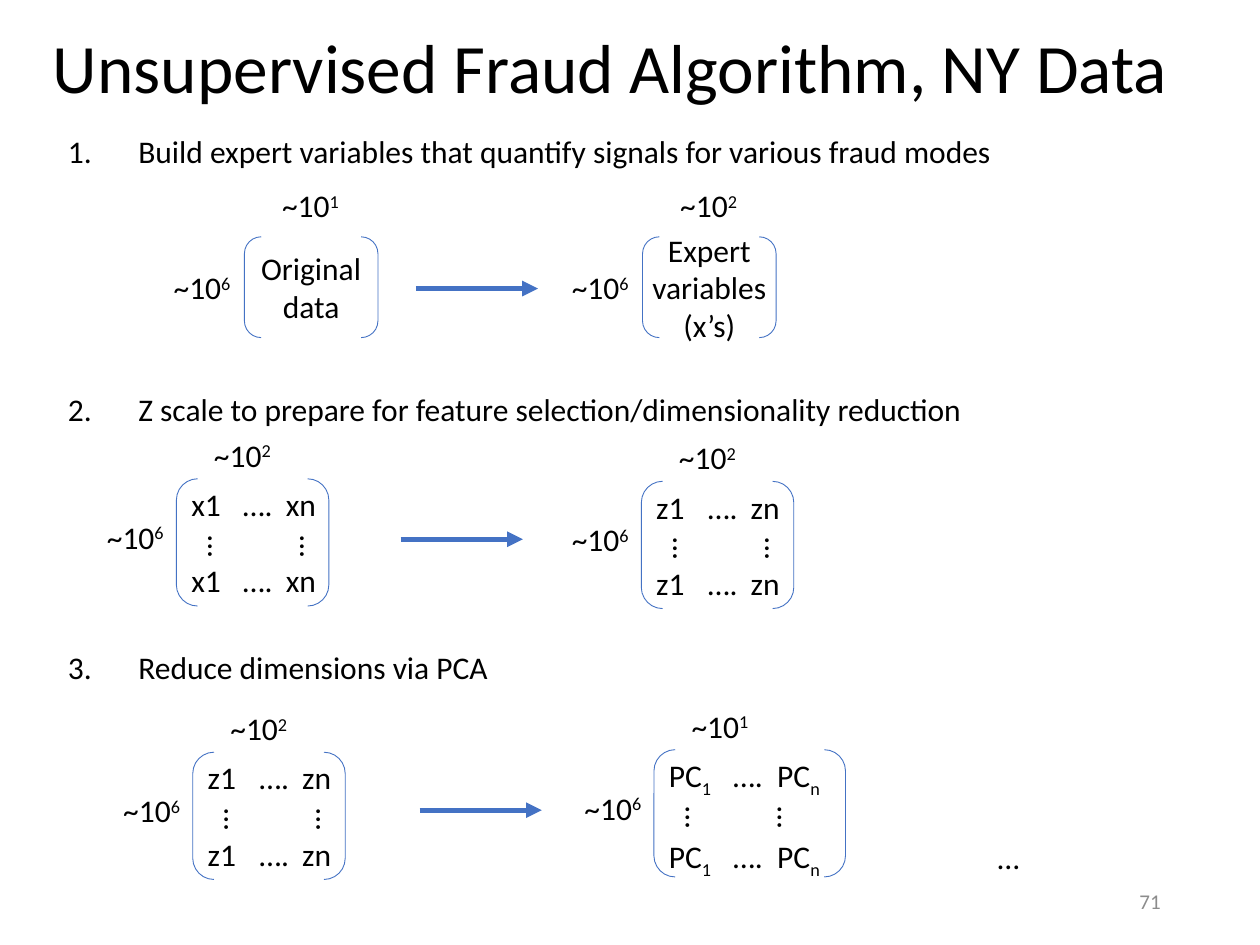
from lxml import etree
from pptx import Presentation
from pptx.dml.color import RGBColor
from pptx.enum.shapes import MSO_CONNECTOR as Connector, MSO_SHAPE as Shape
from pptx.enum.text import MSO_ANCHOR as Anchor, MSO_AUTO_SIZE as AutoSize, PP_ALIGN as Align
from pptx.oxml.ns import qn
from pptx.util import Inches, Pt

BLACK, BLUE, GRAY = "000000", "4472C4", "8C8C8C"
SUPER, SUB = 30000, -25000


def color(value):
    return RGBColor.from_string(value)


def style(paragraph, size=18, ink=BLACK):
    for run in paragraph.runs:
        run.font.name = "Calibri"
        run.font.size = Pt(size)
        run.font.color.rgb = color(ink)


def add_pieces(paragraph, pieces):
    for text, baseline in pieces:
        run = paragraph.add_run()
        run.text = text
        if baseline:
            run._r.get_or_add_rPr().set("baseline", str(baseline))
    style(paragraph)


def add_box(shapes, x, y, width, height, wrap=False):
    box = shapes.add_textbox(Inches(x), Inches(y), Inches(width), Inches(height))
    box.text_frame.word_wrap = wrap
    return box


def add_title(slide, text):
    title = slide.shapes.title
    title.left, title.top = Inches(0.32), Inches(0.39)
    title.width, title.height = Inches(9.41), Inches(0.35)
    frame = title.text_frame
    frame.text = text
    frame.auto_size = AutoSize.NONE
    frame.vertical_anchor = Anchor.MIDDLE
    heading = frame.paragraphs[0]
    heading.alignment = Align.LEFT
    heading.line_spacing = 0.9
    style(heading, 39.6)


def add_steps(slide, steps):
    frame = add_box(slide.shapes, 0.44, 1.03, 7.63, 4.7, True).text_frame
    frame.text = "\n".join(steps)
    for index, step in enumerate(frame.paragraphs):
        step.line_spacing = 0.9
        step.space_before = Pt(128 if index else 0)
        properties = step._p.get_or_add_pPr()
        properties.set("marL", str(Inches(0.56)))
        properties.set("indent", str(-Inches(0.56)))
        etree.SubElement(properties, qn("a:buFont"), typeface="+mj-lt")
        etree.SubElement(properties, qn("a:buAutoNum"), type="arabicPeriod")
        style(step)


def add_page_number(slide, number):
    frame = add_box(slide.shapes, 7.06, 6.95, 2.25, 0.4, True).text_frame
    frame.text = number
    frame.vertical_anchor = Anchor.MIDDLE
    frame.paragraphs[0].alignment = Align.RIGHT
    style(frame.paragraphs[0], 12, GRAY)


def add_bracket(shapes, x, y, width, height):
    bracket = shapes.add_shape(
        Shape.DOUBLE_BRACKET, Inches(x), Inches(y), Inches(width), Inches(height))
    bracket.shadow.inherit = False
    bracket.fill.background()
    bracket.line.color.rgb = color(BLUE)
    bracket.line.width = Pt(0.5)


def add_power(shapes, x, y, exponent):
    label = add_box(shapes, x, y, 0.67, 0.4)
    add_pieces(label.text_frame.paragraphs[0], [("~10", 0), (exponent, SUPER)])


def add_ellipsis(shapes, x, y, rotation=0):
    dots = add_box(shapes, x, y, 0.38, 0.4)
    dots.rotation = rotation
    dots.text_frame.text = "…"
    style(dots.text_frame.paragraphs[0])


def add_data_block(shapes, x, y, text, columns):
    width, height = 1.06, 0.8
    frame = add_box(shapes, x, y, width, height).text_frame
    frame.text = text
    frame.vertical_anchor = Anchor.MIDDLE
    frame.margin_left = frame.margin_right = 0
    frame.margin_top = frame.margin_bottom = 0
    for line in frame.paragraphs:
        line.alignment = Align.CENTER
        style(line)
    add_bracket(shapes, x, y, width, height)
    add_power(shapes, x - 0.66, y + 0.2, "6")
    add_power(shapes, x + 0.2, y - 0.45, columns)


def add_matrix(shapes, x, y, row, columns, tabs=(0.41, 0.75), width=1.21):
    height = 1.01
    frame = add_box(shapes, x + 0.02, y, width, height, True).text_frame
    frame.margin_right = 0
    for index, line in enumerate((frame.paragraphs[0], frame.add_paragraph())):
        line.space_before = Pt(22 if index else 0)
        stops = etree.SubElement(line._p.get_or_add_pPr(), qn("a:tabLst"))
        for stop in tabs:
            etree.SubElement(stops, qn("a:tab"), pos=str(Inches(stop)), algn="l")
        add_pieces(line, row)
    add_bracket(shapes, x, y, width, height)
    for offset in (-0.01, 0.72):
        add_ellipsis(shapes, x + offset, y + 0.33, 270)
    add_power(shapes, x - 0.65, y + 0.26, "6")
    add_power(shapes, x + 0.2, y - 0.39, columns)


def add_arrow(shapes, x, y):
    arrow = shapes.add_connector(
        Connector.STRAIGHT, Inches(x), Inches(y), Inches(x + 0.97), Inches(y))
    arrow.line.color.rgb = color(BLUE)
    arrow.line.width = Pt(3)
    etree.SubElement(arrow.line._get_or_add_ln(), qn("a:tailEnd"), type="triangle")
    etree.SubElement(arrow._element.spPr, qn("a:effectLst"))


def main():
    deck = Presentation()
    deck.slide_width, deck.slide_height = Inches(10), Inches(7.5)
    slide = deck.slides.add_slide(deck.slide_layouts[5])
    add_title(slide, "Unsupervised Fraud Algorithm, NY Data")
    add_steps(slide, [
        "Build expert variables that quantify signals for various fraud modes",
        "Z scale to prepare for feature selection/dimensionality reduction",
        "Reduce dimensions via PCA",
    ])
    add_page_number(slide, "71")

    x_row = [("x1\t….\txn", 0)]
    z_row = [("z1\t….\tzn", 0)]
    pc_row = [("PC", 0), ("1", SUB), ("\t….\tPC", 0), ("n", SUB)]

    expert, scaling, reduction = (slide.shapes.add_group_shape().shapes for _ in range(3))
    add_data_block(expert, 1.94, 1.88, "Original\ndata", "1")
    add_data_block(expert, 5.1, 1.88, "Expert\nvariables\n(x’s)", "2")
    add_arrow(expert, 3.3, 2.29)

    add_matrix(scaling, 1.4, 3.8, x_row, "2")
    add_matrix(scaling, 5.09, 3.82, z_row, "2")
    add_arrow(scaling, 3.18, 4.28)

    add_matrix(reduction, 1.53, 5.97, z_row, "2")
    add_matrix(reduction, 5.19, 5.95, pc_row, "1", (0.51, 0.86), 1.52)
    add_ellipsis(reduction, 7.82, 6.6)
    add_arrow(reduction, 3.33, 6.43)
    deck.save("out.pptx")


if __name__ == "__main__":
    main()
